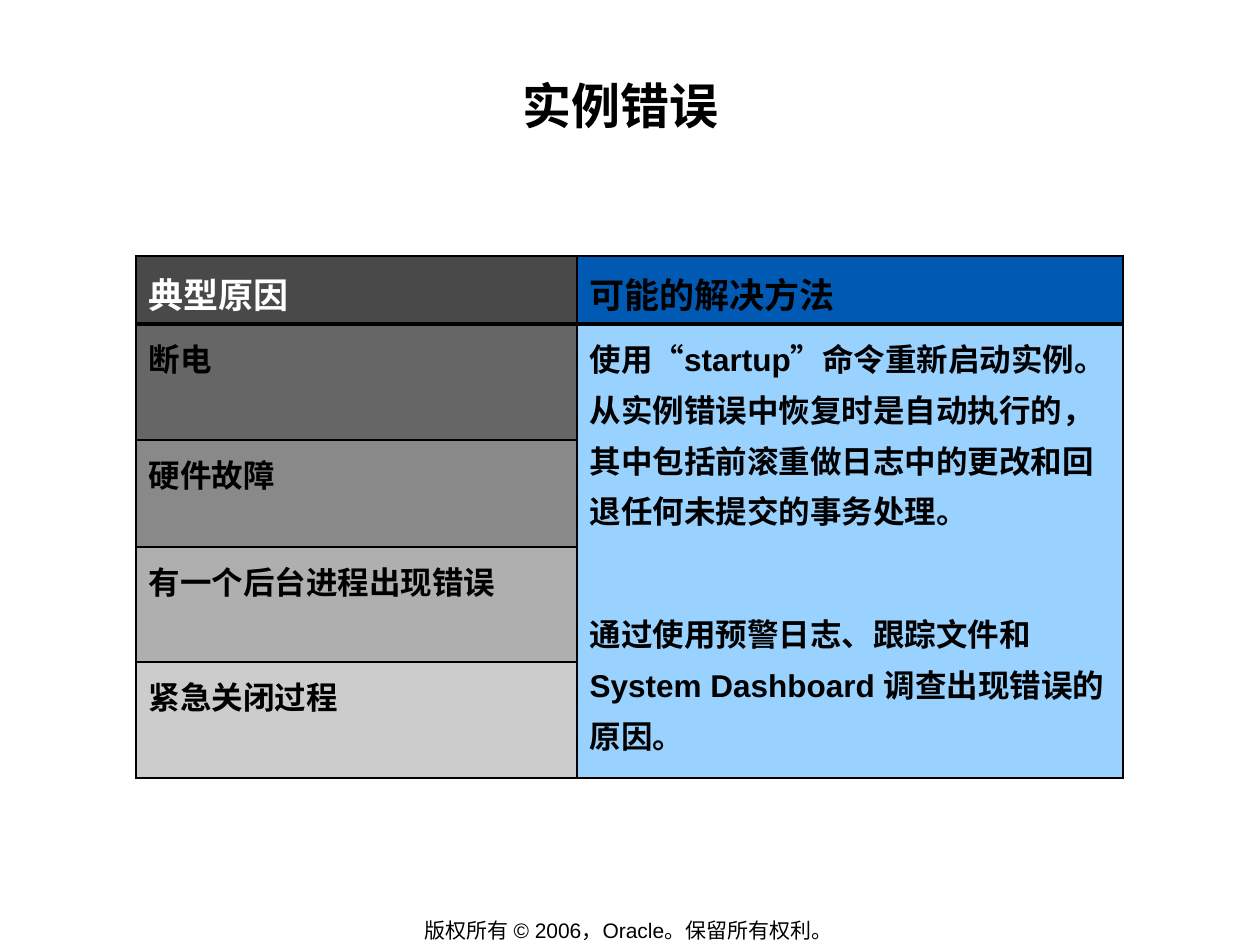
from lxml.etree import SubElement
from pptx import Presentation
from pptx.dml.color import RGBColor
from pptx.enum.text import MSO_ANCHOR as Anchor, PP_ALIGN as Align
from pptx.oxml.ns import qn
from pptx.util import Emu, Pt

SLIDE_W, SLIDE_H = 1260, 945
EMU_PER_PX = 914400 / 126
LATIN, CJK = "Arial", "Noto Sans CJK SC"
THIN, THICK = 1.08, 2.21
LINE = 1.11

CAUSES = [
    ("断电", "666666"),
    ("硬件故障", "898989"),
    ("有一个后台进程出现错误", "AFAFAF"),
    ("紧急关闭过程", "CCCCCC"),
]
SOLUTIONS = [
    "使用“startup”命令重新启动实例。从实例错误中恢复时是自动执行的，"
    "其中包括前滚重做日志中的更改和回退任何未提交的事务处理。",
    "通过使用预警日志、跟踪文件和 System Dashboard 调查出现错误的原因。",
]


def px(length):
    return Emu(round(length * EMU_PER_PX))


def color(hex_code):
    return RGBColor.from_string(hex_code)


def write(frame, *paragraphs, size, ink="000000", bold=True, align=Align.LEFT,
          line=None, gap=0):
    """Fill a text frame; gap is the space in points between paragraphs."""
    for index, text in enumerate(paragraphs):
        paragraph = frame.paragraphs[0] if index == 0 else frame.add_paragraph()
        paragraph.alignment = align
        paragraph._p.get_or_add_pPr().set("hangingPunct", "0")
        if line:
            paragraph.line_spacing = line
        if index:
            paragraph.space_before = Pt(gap)
        run = paragraph.add_run()
        run.text = text
        font = run.font
        font.size, font.bold, font.name = Pt(size), bold, LATIN
        font.color.rgb = color(ink)
        SubElement(run._r.get_or_add_rPr(), qn("a:ea"), typeface=CJK)


def add_text_area(slide, box, inset, wrap, anchor):
    frame = slide.shapes.add_textbox(*map(px, box)).text_frame
    frame.word_wrap, frame.vertical_anchor = wrap, anchor
    frame.margin_left = frame.margin_right = px(inset[0])
    frame.margin_top = frame.margin_bottom = px(inset[1])
    return frame


def add_title(slide, box):
    frame = add_text_area(slide, box, (1, 2), True, Anchor.TOP)
    write(frame, "实例错误 ", size=28, align=Align.CENTER)


def add_copyright(slide, box):
    frame = add_text_area(slide, box, (13, 6), False, Anchor.MIDDLE)
    write(frame, "版权所有 © 2006，Oracle。保留所有权利。 ", size=12, bold=False,
          align=Align.CENTER)


def style_cell(cell, fill, top=THIN, bottom=THIN):
    """Draw the borders, then the fill, in the order the schema asks for."""
    properties = cell._tc.get_or_add_tcPr()
    for side, width in zip("LRTB", (THIN, THIN, top, bottom)):
        border = SubElement(properties, qn(f"a:ln{side}"), w=str(Pt(width)))
        solid = SubElement(border, qn("a:solidFill"))
        SubElement(solid, qn("a:srgbClr"), val="000000")
    cell.fill.solid()
    cell.fill.fore_color.rgb = color(fill)


def add_error_table(slide, box, columns, rows):
    table = slide.shapes.add_table(len(rows), len(columns), *map(px, box)).table
    for column, width in zip(table.columns, columns):
        column.width = px(width)
    for row, height in zip(table.rows, rows):
        row.height = px(height)

    headers = [("典型原因", "FFFFFF", "494949"), ("可能的解决方法", "000000", "005AB4")]
    for index, (label, ink, fill) in enumerate(headers):
        header = table.cell(0, index)
        write(header.text_frame, label, size=20, ink=ink, line=LINE)
        style_cell(header, fill, bottom=THICK)

    for index, (label, fill) in enumerate(CAUSES, start=1):
        top = THICK if index == 1 else THIN
        cause = table.cell(index, 0)
        write(cause.text_frame, label, size=18, line=LINE)
        style_cell(cause, fill, top=top)
        style_cell(table.cell(index, 1), "99D2FF", top=top)

    solution = table.cell(1, 1)
    solution.merge(table.cell(len(CAUSES), 1))
    write(solution.text_frame, *SOLUTIONS, size=18, line=LINE, gap=41.5)


def main():
    deck = Presentation()
    deck.slide_width, deck.slide_height = px(SLIDE_W), px(SLIDE_H)
    slide = deck.slides.add_slide(deck.slide_layouts[6])
    add_copyright(slide, (348, 917, 566, 26))
    add_title(slide, (122, 73, 1008, 121))
    add_error_table(slide, (136, 256, 987, 522), columns=(441, 546),
                    rows=(68, 116, 107, 115, 116))
    deck.save("out.pptx")


if __name__ == "__main__":
    main()
